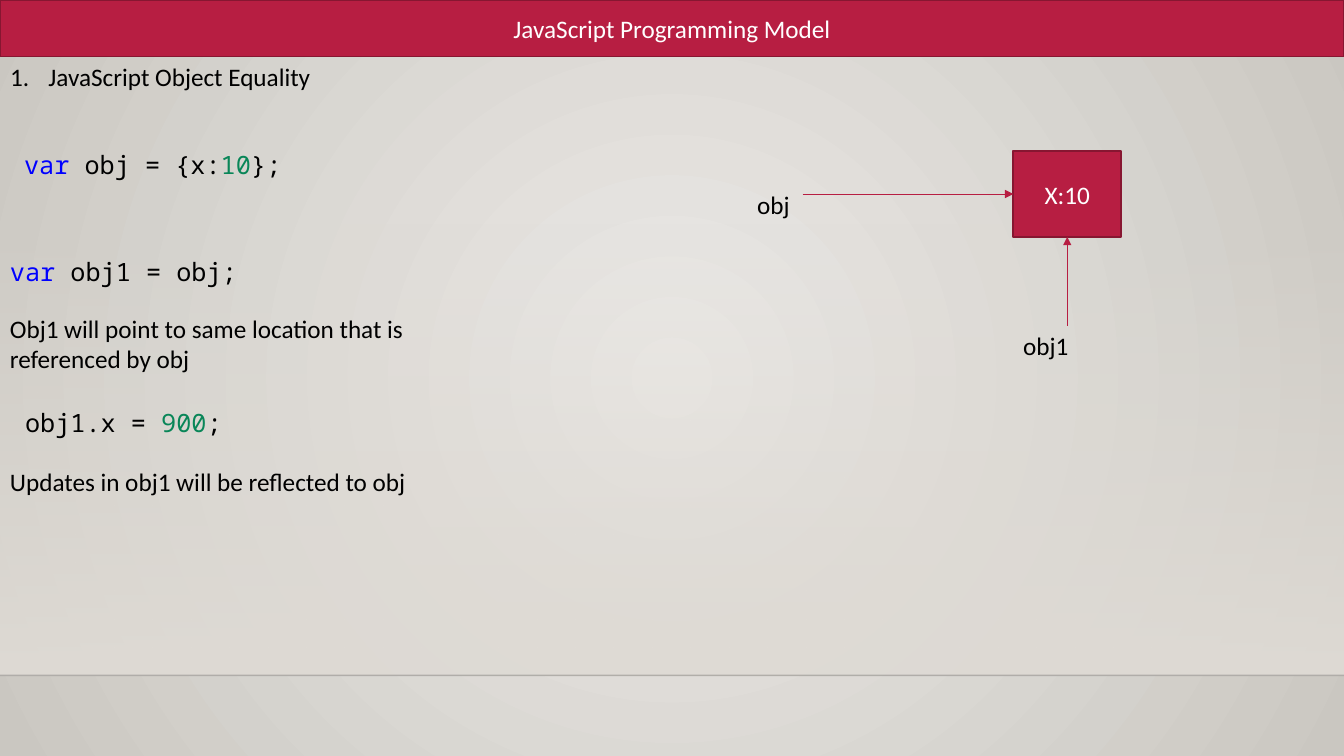
from pptx import Presentation
from pptx.dml.color import RGBColor
from pptx.enum.shapes import MSO_CONNECTOR, MSO_SHAPE
from pptx.enum.text import MSO_ANCHOR, MSO_AUTO_SIZE, PP_ALIGN
from pptx.oxml.ns import qn
from pptx.util import Inches, Pt
from lxml.etree import SubElement

WIDTH, HEIGHT = 13.33, 7.5
RED, DARK_RED = "B71E42", "871631"
BLACK, WHITE, KEYWORD, NUMBER = "000000", "FFFFFF", "0000FF", "098658"
PROSE, CODE = "Calibri", "Noto Sans Mono"


def color(value):
    """Turn a hex string into a colour."""
    return RGBColor.from_string(value)


def place(shape, box):
    """Move a shape to a box of left, top, width, height in inches."""
    shape.left, shape.top, shape.width, shape.height = map(Inches, box)


def add_spans(para, spans, font=PROSE):
    """Add (text, colour) runs to a paragraph."""
    for text, ink in spans:
        span = para.add_run()
        span.text = text
        span.font.name, span.font.size = font, Pt(18)
        span.font.color.rgb = color(ink)


def add_text(page, box, spans, font=PROSE, wrap=True):
    """Add a text box with one paragraph."""
    label = page.shapes.add_textbox(*map(Inches, box))
    label.text_frame.word_wrap = wrap
    label.text_frame.auto_size = MSO_AUTO_SIZE.SHAPE_TO_FIT_TEXT
    add_spans(label.text_frame.paragraphs[0], spans, font)


def paint_red(shape, text):
    """Give a shape the red fill, dark outline and centred white text."""
    shape.fill.solid()
    shape.fill.fore_color.rgb = color(RED)
    shape.line.color.rgb = color(DARK_RED)
    shape.line.width = Pt(1.25)
    frame = shape.text_frame
    frame.vertical_anchor = MSO_ANCHOR.MIDDLE
    frame.paragraphs[0].alignment = PP_ALIGN.CENTER
    add_spans(frame.paragraphs[0], [(text, WHITE)])


def add_line(page, start, end, ink, width):
    """Add a straight line without shadow and return it."""
    line = page.shapes.add_connector(
        MSO_CONNECTOR.STRAIGHT, *map(Inches, (*start, *end)))
    line.line.color.rgb = color(ink)
    line.line.width = Pt(width)
    SubElement(line._element.spPr, qn("a:effectLst"))
    return line


def add_arrow(page, start, end):
    """Add a thin red arrow pointing at its end."""
    arrow = add_line(page, start, end, RED, 0.75)
    SubElement(arrow.line._get_or_add_ln(), qn("a:tailEnd"), type="triangle")


def set_gradient(fill, inks):
    """Apply a two-stop gradient."""
    fill.gradient()
    for stop, ink in zip(fill.gradient_stops, inks):
        stop.color.rgb = color(ink)


def set_alpha(element, percent):
    """Make the first plain colour within an element transparent."""
    SubElement(next(element.iter(qn("a:srgbClr"))), qn("a:alpha"),
               val=str(percent * 1000))


def draw_backdrop(page, box):
    """Draw the radial background and the fading floor band in its box."""
    set_gradient(page.background.fill, ("ECEAE7", "CAC7C1"))
    linear = next(page._element.iter(qn("a:lin")))
    gradient = linear.getparent()
    gradient.remove(linear)
    radial = SubElement(gradient, qn("a:path"), path="circle")
    SubElement(radial, qn("a:fillToRect"),
               **{side: "50000" for side in "ltrb"})

    left, top, width, height = box
    band = page.shapes.add_shape(MSO_SHAPE.RECTANGLE, *map(Inches, box))
    band.shadow.inherit = False
    band.line.fill.background()
    set_gradient(band.fill, ("DFDBD5", "DFDBD5"))
    band.fill.gradient_angle = 270
    set_alpha(band._element.spPr, 0)
    bottom = top + height
    edge = add_line(page, (left, bottom), (left + width, bottom), "000001", 1)
    set_alpha(edge._element.spPr, 20)


def draw_heading(page, box):
    """Fill the title bar and the numbered topic right below it."""
    left, top, width, height = box
    title, topic = page.placeholders
    place(title, box)
    paint_red(title, "JavaScript Programming Model")

    place(topic, (left, top + height, width, 0.71))
    para = topic.text_frame.paragraphs[0]
    para.space_before = Pt(0)
    add_spans(para, [("JavaScript Object Equality", BLACK)])
    props = para._p.get_or_add_pPr()
    props.set("marL", str(Inches(0.38)))
    props.set("indent", str(-Inches(0.38)))
    SubElement(props, qn("a:buFont"), typeface=PROSE)
    SubElement(props, qn("a:buAutoNum"), type="arabicPeriod")


def draw_code(page, box):
    """Place code lines and explanations down the left column."""
    left, top = box[:2]
    snippets = [
        (0.14, 0, 2.79, [("var ", KEYWORD), ("obj = {x:", BLACK),
                         ("10", NUMBER), ("};", BLACK)]),
        (0, 1.06, 2.49, [("var", KEYWORD), (" obj1 = obj;", BLACK)]),
        (0.15, 2.56, 2.18, [("obj1.x = ", BLACK), ("900", NUMBER),
                            (";", BLACK)]),
    ]
    for indent, drop, width, spans in snippets:
        add_text(page, (left + indent, top + drop, width, 0.4), spans,
                 CODE, wrap=False)
    remarks = [
        (1.63, 4.16, 0.71,
         "Obj1 will point to same location that is referenced by obj"),
        (3.15, 4.58, 0.41, "Updates in obj1 will be reflected to obj"),
    ]
    for drop, width, height, text in remarks:
        add_text(page, (left, top + drop, width, height), [(text, BLACK)])


def draw_references(page, box):
    """Draw the object and the two variables that point at it."""
    left, top, width, height = box
    value_width, value_height = 1.07, 0.85
    value_left = left + width - value_width
    middle = top + value_height / 2
    center = value_left + value_width / 2
    bottom = top + value_height
    label_top = top + height - 0.4
    value = page.shapes.add_shape(MSO_SHAPE.RECTANGLE, *map(
        Inches, (value_left, top, value_width, value_height)))
    value.shadow.inherit = False
    paint_red(value, "X:10")
    add_text(page, (left, top + 0.33, 0.55, 0.4), [("obj", BLACK)])
    add_arrow(page, (left + 0.55, middle), (value_left, middle))
    add_text(page, (value_left, label_top, 1.3, 0.4), [("obj1", BLACK)])
    add_arrow(page, (center, label_top), (center, bottom))


def build():
    """Build and save the deck."""
    deck = Presentation()
    deck.slide_width, deck.slide_height = Inches(WIDTH), Inches(HEIGHT)
    page = deck.slides.add_slide(deck.slide_layouts[1])
    draw_backdrop(page, (0, 2.21, WIDTH, 4.49))
    draw_heading(page, (0, 0, WIDTH, 0.56))
    draw_code(page, (0, 1.43, 4.58, 3.56))
    draw_references(page, (7.41, 1.5, 3.71, 2.13))
    deck.save("out.pptx")


build()
